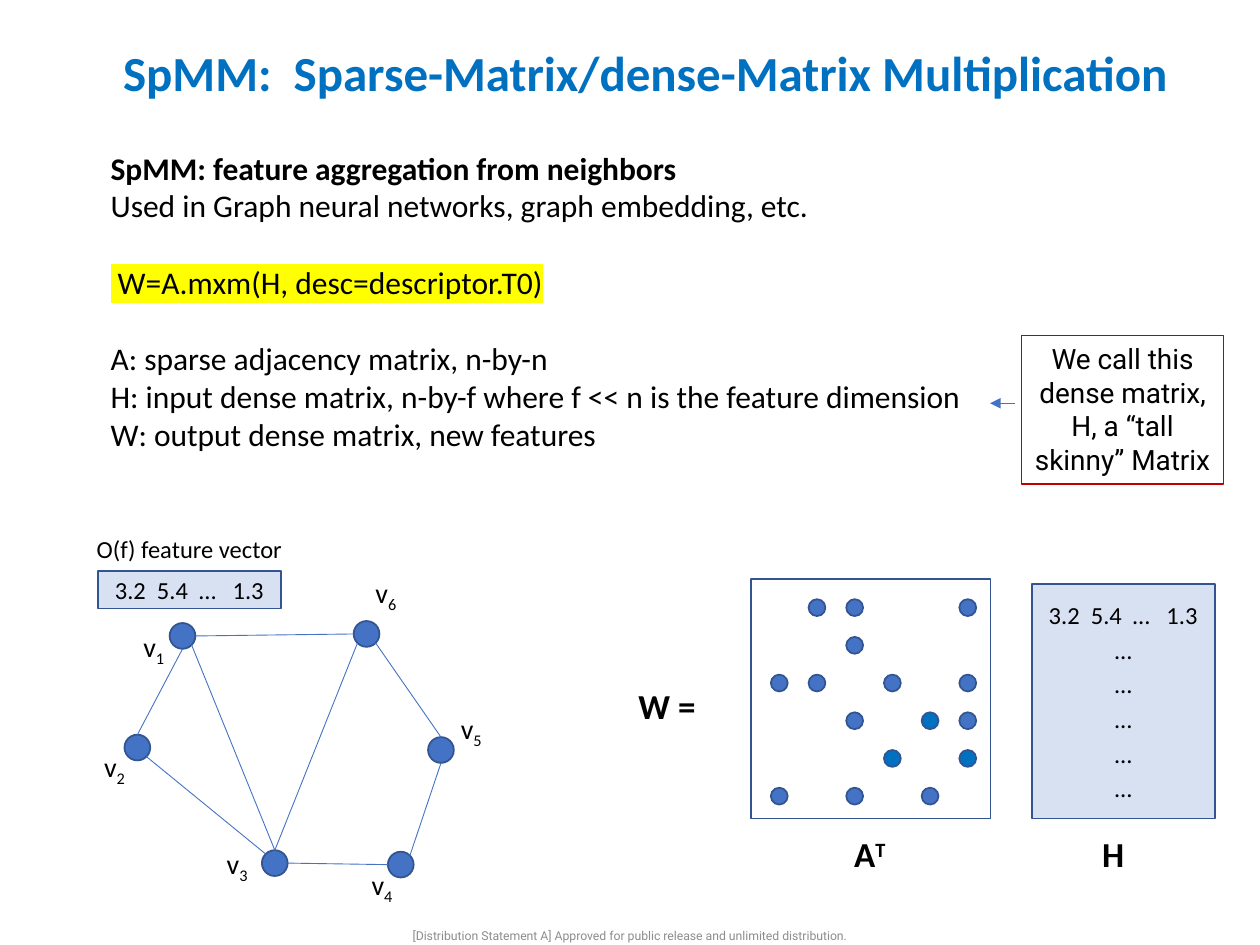
from dataclasses import dataclass
from math import cos, radians, sin

from lxml import etree
from pptx import Presentation
from pptx.dml.color import RGBColor
from pptx.enum.shapes import MSO_CONNECTOR, MSO_SHAPE
from pptx.enum.text import MSO_ANCHOR, PP_ALIGN
from pptx.oxml.ns import qn
from pptx.util import Cm, Pt

RECT, OVAL = MSO_SHAPE.RECTANGLE, MSO_SHAPE.OVAL
STRAIGHT = MSO_CONNECTOR.STRAIGHT
LEFT, CENTER = PP_ALIGN.LEFT, PP_ALIGN.CENTER
TOP, MIDDLE, BOTTOM = MSO_ANCHOR.TOP, MSO_ANCHOR.MIDDLE, MSO_ANCHOR.BOTTOM

COLORS = {
    "text": "000000", "title": "0070C0", "footer": "8C8C8C", "blue": "4472C4",
    "outline": "325491", "accent": "0070C0", "callout": "C00000", "marker": "FFFF00",
}
FEATURES = "3.2  5.4  …   1.3"
NODE_SIZE = 0.52
DOT_SIZE, DOT_PITCH = 0.34, 0.76
DOT_LEFT, DOT_TOP = 15.54, 12.08
# Places on a node's rim, in degrees clockwise from its right side
RIM = {"right": 0, "lower right": 45, "bottom": 90, "lower left": 135,
       "left": 180, "upper left": 225, "top": 270, "upper right": 315}


@dataclass(frozen=True)
class Box:
    left: float
    top: float
    width: float
    height: float

    def lengths(self) -> tuple:
        return Cm(self.left), Cm(self.top), Cm(self.width), Cm(self.height)


@dataclass(frozen=True)
class Line:
    text: str
    bold: bool = False
    script: str = ""
    baseline: int = 0
    before: float = 0
    after: float = 0
    spacing: float = 1.0
    marked: bool = False


@dataclass(frozen=True)
class Node:
    x: float
    y: float
    label_left: float
    label_top: float

    def rim(self, place: str) -> tuple[float, float]:
        angle = radians(RIM[place])
        return self.x + NODE_SIZE / 2 * cos(angle), self.y + NODE_SIZE / 2 * sin(angle)


NODES = {
    1: Node(3.68, 12.82, 2.64, 12.57),
    2: Node(2.77, 15.07, 1.85, 14.99),
    3: Node(5.54, 17.4, 4.32, 16.94),
    4: Node(8.08, 17.43, 7.24, 17.37),
    5: Node(8.89, 15.12, 9.04, 14.22),
    6: Node(7.39, 12.78, 7.32, 11.48),
}
EDGES = [
    (1, "right", 6, "left"), (2, "top", 1, "bottom"),
    (3, "top", 6, "lower left"), (3, "right", 4, "left"),
    (4, "upper right", 5, "bottom"), (2, "lower right", 3, "upper left"),
    (1, "lower right", 3, "top"), (6, "lower right", 5, "top"),
]
# o is a nonzero entry, x an accented one
SPARSE_ROWS = [".oo..o", "..o...", "oo.o.o", "..o.xo", "...x.x", "o.o.o."]


def rgb(name: str) -> RGBColor:
    return RGBColor.from_string(COLORS[name])


def write(shape, lines: list[Line], size: float, align=LEFT, anchor=TOP,
          color: str = "text", font: str = "Calibri") -> None:
    frame = shape.text_frame
    frame.word_wrap = True
    frame.vertical_anchor = anchor
    for index, line in enumerate(lines):
        paragraph = frame.add_paragraph() if index else frame.paragraphs[0]
        paragraph.alignment = align
        paragraph.line_spacing = line.spacing
        paragraph.space_before, paragraph.space_after = Pt(line.before), Pt(line.after)
        paragraph.font.name, paragraph.font.size = font, Pt(size)
        paragraph.font.bold = line.bold
        paragraph.font.color.rgb = rgb(color)
        run = paragraph.add_run()
        run.text = line.text
        if line.marked:
            highlight = etree.SubElement(run._r.get_or_add_rPr(), qn("a:highlight"))
            etree.SubElement(highlight, qn("a:srgbClr"), val=COLORS["marker"])
        if line.script:
            script = paragraph.add_run()
            script.text = line.script
            script._r.get_or_add_rPr().set("baseline", str(line.baseline * 1000))


def add_text(slide, box: Box, lines: list[Line], size: float, **style):
    label = slide.shapes.add_textbox(*box.lengths())
    write(label, lines, size, **style)
    return label


def add_figure(slide, kind, box: Box, fill: str = "", opacity: int = 100,
               outline: str = "outline", weight: float = 1):
    figure = slide.shapes.add_shape(kind, *box.lengths())
    figure.shadow.inherit = False
    if fill:
        figure.fill.solid()
        figure.fill.fore_color.rgb = rgb(fill)
        if opacity < 100:
            tint = figure._element.spPr.find(qn("a:solidFill"))[0]
            etree.SubElement(tint, qn("a:alpha"), val=str(opacity * 1000))
    else:
        figure.fill.background()
    figure.line.color.rgb = rgb(outline)
    figure.line.width = Pt(weight)
    return figure


def add_line(slide, start: tuple[float, float], end: tuple[float, float],
             arrow: bool = False) -> None:
    line = slide.shapes.add_connector(STRAIGHT, *map(Cm, (*start, *end)))
    line.line.color.rgb = rgb("blue")
    line.line.width = Pt(0.5)
    if arrow:
        etree.SubElement(line.line._get_or_add_ln(), qn("a:tailEnd"), type="triangle")
    etree.SubElement(line._element.spPr, qn("a:effectLst"))


def add_graph(slide) -> None:
    for number, node in NODES.items():
        add_text(slide, Box(node.label_left, node.label_top, 1.57, 0.94),
                 [Line("v", script=str(number), baseline=-25)], 16)
        add_figure(slide, OVAL, Box(node.x - NODE_SIZE / 2, node.y - NODE_SIZE / 2,
                                    NODE_SIZE, NODE_SIZE), "blue")
    for first, leaving, second, arriving in EDGES:
        add_line(slide, NODES[first].rim(leaving), NODES[second].rim(arriving))
    add_text(slide, Box(1.7, 10.64, 4.4, 0.86), [Line("O(f) feature vector")], 14)
    vector = add_figure(slide, RECT, Box(1.98, 11.51, 3.68, 0.76), "blue", 21)
    write(vector, [Line(FEATURES)], 14, CENTER, MIDDLE)


def add_product(slide) -> None:
    """Draw W = (sparse matrix) (dense matrix) with the names below."""
    add_figure(slide, RECT, Box(15.14, 11.67, 4.83, 4.83))
    for row, entries in enumerate(SPARSE_ROWS):
        for column, entry in enumerate(entries):
            if entry != ".":
                add_figure(slide, OVAL,
                           Box(DOT_LEFT + column * DOT_PITCH, DOT_TOP + row * DOT_PITCH,
                               DOT_SIZE, DOT_SIZE),
                           "accent" if entry == "x" else "blue")
    dense = add_figure(slide, RECT, Box(20.8, 11.78, 3.69, 4.72), "blue", 21)
    write(dense, [Line(text, after=3) for text in [FEATURES] + ["…"] * 5],
          14, CENTER, MIDDLE)
    for left, top, name in [
        (12.62, 13.67, Line("W =", bold=True)),
        (16.97, 16.66, Line("A", bold=True, script="T", baseline=30)),
        (21.97, 16.66, Line("H", bold=True)),
    ]:
        add_text(slide, Box(left, top, 1.96, 1.12), [name], 20)


def main() -> None:
    deck = Presentation()
    deck.slide_width, deck.slide_height = Cm(25.4), Cm(19.05)
    slide = deck.slides.add_slide(deck.slide_layouts[6])

    add_text(slide, Box(0.61, -0.28, 24.79, 2.46),
             [Line("SpMM:  Sparse-Matrix/dense-Matrix Multiplication", bold=True, spacing=0.9)],
             28, align=CENTER, anchor=BOTTOM, color="title")
    add_text(slide, Box(1.98, 2.87, 22.17, 6.4), [
        Line("SpMM: feature aggregation from neighbors", bold=True),
        Line("Used in Graph neural networks, graph embedding, etc."),
        Line(" W=A.mxm(H, desc=descriptor.T0)", before=22, marked=True),
        Line("A: sparse adjacency matrix, n-by-n", before=22),
        Line("H: input dense matrix, n-by-f where f << n is the feature dimension"),
        Line("W: output dense matrix, new features"),
    ], 18)
    callout = add_figure(slide, RECT, Box(20.6, 6.76, 4.06, 3), outline="callout", weight=0.75)
    write(callout, [Line("We call this dense matrix, H, a “tall skinny” Matrix")],
          16, CENTER, font="Roboto")
    add_line(slide, (20.47, 8.13), (19.96, 8.13), arrow=True)
    add_graph(slide)
    add_product(slide)
    add_text(slide, Box(7.87, 18.67, 9.65, 0.38),
             [Line("[Distribution Statement A] Approved for public release and "
                   "unlimited distribution.")],
             7, align=CENTER, anchor=MIDDLE, color="footer", font="Roboto")
    deck.save("out.pptx")


if __name__ == "__main__":
    main()
